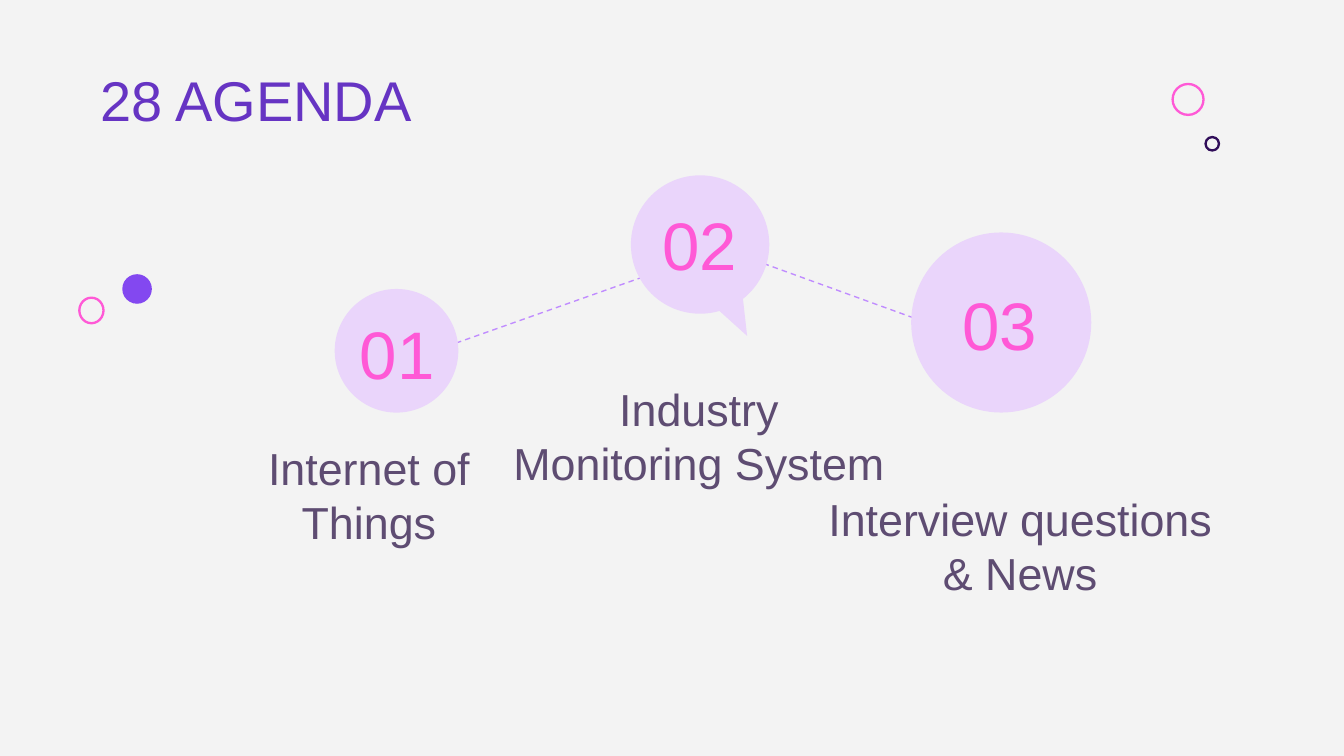
from dataclasses import dataclass

from lxml.etree import SubElement
from pptx import Presentation
from pptx.dml.color import RGBColor
from pptx.enum.dml import MSO_LINE
from pptx.enum.shapes import MSO_CONNECTOR, MSO_SHAPE
from pptx.enum.text import MSO_ANCHOR, PP_ALIGN
from pptx.oxml.ns import qn
from pptx.util import Inches, Pt


@dataclass(frozen=True)
class Theme:
    font: str = "Arial"
    background: str = "F3F3F3"
    title: str = "6634C3"
    label: str = "5E4C72"
    pink: str = "FF59D6"
    navy: str = "300D59"
    violet: str = "8348F0"
    bubble: str = "EAD5FB"
    link: str = "C08CFF"
    title_size: int = 30
    number_size: int = 36
    label_size: int = 24


THEME = Theme()


def rgb(color):
    return RGBColor.from_string(color)


def set_text(sp, text, size, color, align, anchor):
    tf = sp.text_frame
    tf.text = text
    tf.word_wrap = True
    tf.vertical_anchor = anchor
    tf.margin_left = tf.margin_right = Inches(0.1)
    tf.margin_top = tf.margin_bottom = Inches(0.1)
    p = tf.paragraphs[0]
    p.alignment = align
    p.line_spacing = 1.0
    font = p.runs[0].font
    font.name, font.size = THEME.font, Pt(size)
    font.color.rgb = rgb(color)


def add_round(s, cx, cy, width, height, fill=None, line=None,
              kind=MSO_SHAPE.OVAL):
    """Add a round shape centred on (cx, cy), filled or outlined."""
    sp = s.shapes.add_shape(kind, Inches(cx - width / 2),
                            Inches(cy - height / 2),
                            Inches(width), Inches(height))
    sp.shadow.inherit = False
    if fill:
        sp.fill.solid()
        sp.fill.fore_color.rgb = rgb(fill)
    else:
        sp.fill.background()
    if line:
        sp.line.color.rgb = rgb(line)
        sp.line.width = Pt(1.25)
    else:
        sp.line.fill.background()
    return sp


def add_dashed_link(s, x1, y1, x2, y2):
    c = s.shapes.add_connector(MSO_CONNECTOR.STRAIGHT, Inches(x1), Inches(y1),
                               Inches(x2), Inches(y2))
    c.line.color.rgb = rgb(THEME.link)
    c.line.width = Pt(0.75)
    c.line.dash_style = MSO_LINE.DASH
    SubElement(c._element.spPr, qn("a:effectLst"))


def add_title(s, left, top, width, height):
    sp = s.shapes.title
    sp.left, sp.top = Inches(left), Inches(top)
    sp.width, sp.height = Inches(width), Inches(height)
    set_text(sp, "28 AGENDA", THEME.title_size, THEME.title,
             PP_ALIGN.LEFT, MSO_ANCHOR.TOP)


def add_right_ornament(s, left, top):
    add_round(s, left + 0.17, top + 0.12, 0.23, 0.23, line=THEME.pink)
    add_round(s, left + 0.35, top + 0.45, 0.1, 0.1, line=THEME.navy)


def add_left_ornament(s, left, top):
    add_round(s, left + 0.44, top + 0.11, 0.22, 0.22, fill=THEME.violet)
    add_round(s, left + 0.1, top + 0.27, 0.18, 0.19, line=THEME.pink)


def add_centred_text(s, text, box, size, color, anchor):
    sp = s.shapes.add_textbox(*map(Inches, box))
    set_text(sp, text, size, color, PP_ALIGN.CENTER, anchor)


def add_step(s, number, label, centre, diameter, number_box, label_box,
             tail=None):
    """Add a numbered bubble and its label; tail is the callout tip offset."""
    kind = MSO_SHAPE.OVAL_CALLOUT if tail else MSO_SHAPE.OVAL
    sp = add_round(s, *centre, diameter, diameter, THEME.bubble, kind=kind)
    for i, offset in enumerate(tail or ()):
        sp.adjustments[i] = offset / diameter
    add_centred_text(s, number, number_box, THEME.number_size, THEME.pink,
                     MSO_ANCHOR.MIDDLE)
    add_centred_text(s, label, label_box, THEME.label_size, THEME.label,
                     MSO_ANCHOR.BOTTOM)


def add_agenda(s):
    add_dashed_link(s, 5.21, 1.79, 7.39, 2.58)
    add_dashed_link(s, 2.92, 2.72, 5.24, 1.9)
    add_step(s, "01", "Internet of Things", (2.95, 2.61), 0.92,
             (2.56, 2.31, 0.79, 0.63), (1.61, 3.25, 2.27, 0.93))
    add_step(s, "02", "Industry Monitoring System", (5.21, 1.82), 1.03,
             (4.48, 1.5, 1.45, 0.63), (3.7, 3.03, 3, 0.71),
             tail=(0.35, 0.68))
    add_step(s, "03", "Interview questions & News", (7.45, 2.4), 1.34,
             (6.78, 2.09, 1.32, 0.63), (6.04, 3.6, 3.1, 0.96))


def main():
    prs = Presentation()
    prs.slide_width = Inches(10)
    prs.slide_height = prs.slide_width * 9 // 16
    s = prs.slides.add_slide(prs.slide_layouts[5])
    s.background.fill.solid()
    s.background.fill.fore_color.rgb = rgb(THEME.background)
    add_right_ornament(s, 8.67, 0.62)
    add_left_ornament(s, 0.58, 2.04)
    add_title(s, 0.65, 0.39, 7.36, 0.71)
    add_agenda(s)
    prs.save("out.pptx")


if __name__ == "__main__":
    main()
